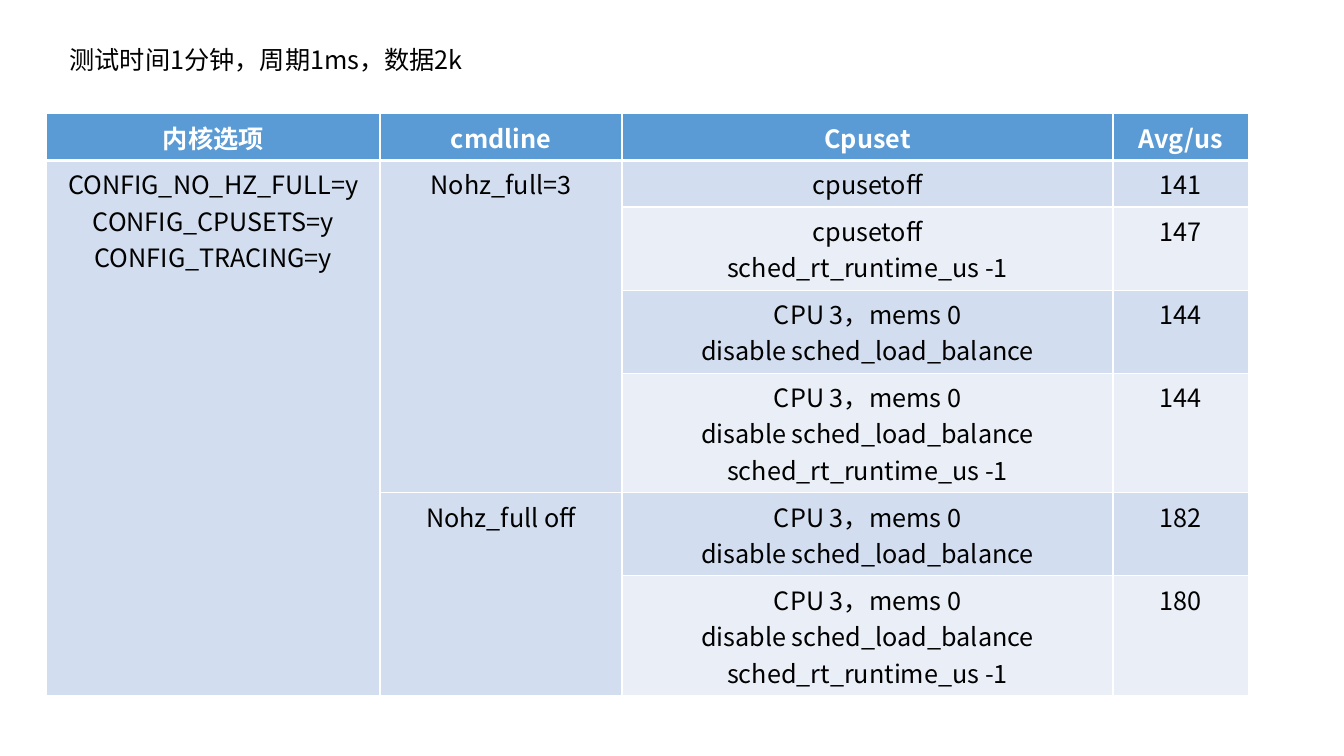
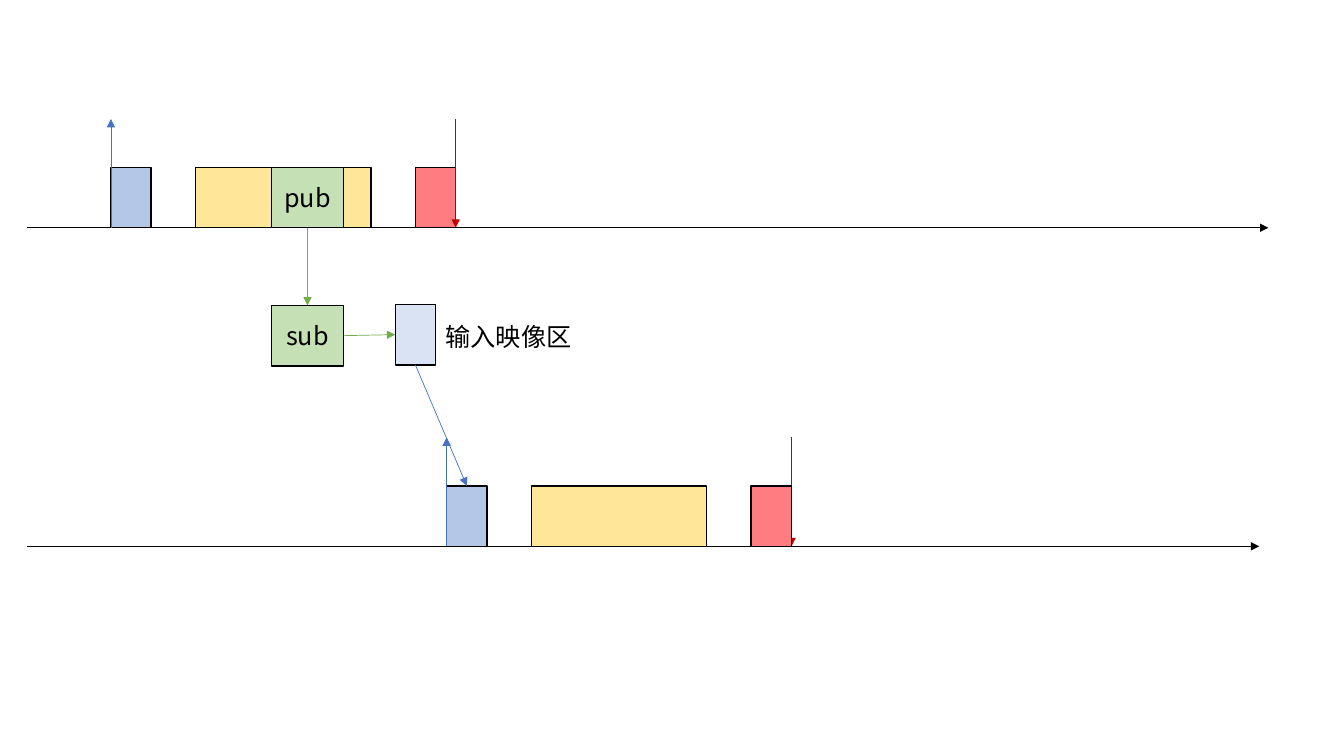
from lxml import etree
from pptx import Presentation
from pptx.dml.color import RGBColor
from pptx.enum.shapes import MSO_CONNECTOR, MSO_SHAPE
from pptx.enum.text import MSO_ANCHOR, MSO_AUTO_SIZE, PP_ALIGN
from pptx.oxml.ns import qn
from pptx.util import Inches, Pt

FONT = "Noto Sans CJK SC"
COLORS = {
    "black": "000000", "white": "FFFFFF",
    "header": "5B9BD5", "band_dark": "D2DEEF", "band_light": "EAEFF7",
    "input": "B4C7E7", "work": "FFE699", "output": "FF7C80",
    "message": "C5E0B4", "image": "DAE3F3",
    "release": "4472C4", "deadline": "C00000", "flow": "70AD47",
}

# Test results
CONDITIONS = "测试时间1分钟，周期1ms，数据2k"
HEADERS = ["内核选项", "cmdline", "Cpuset", "Avg/us"]
KERNEL_OPTIONS = ["CONFIG_NO_HZ_FULL=y", "CONFIG_CPUSETS=y", "CONFIG_TRACING=y"]
CPU_SET = ["CPU 3，mems 0", "disable sched_load_balance"]
RT_RUNTIME = "sched_rt_runtime_us -1"
RESULTS = [
    ("Nohz_full=3", [
        (["cpusetoff"], 141),
        (["cpusetoff", RT_RUNTIME], 147),
        (CPU_SET, 144),
        (CPU_SET + [RT_RUNTIME], 144),
    ]),
    ("Nohz_full off", [
        (CPU_SET, 182),
        (CPU_SET + [RT_RUNTIME], 180),
    ]),
]
COLUMN_WIDTHS = [3.31, 2.4, 4.87, 1.34]
LINE_HEIGHT, CELL_PADDING = 0.36, 0.1

# Timing diagram
AXIS_LEFT = 0.27
CYCLES = [
    {"start": 1.1, "axis": 2.26, "axis_end": 12.58, "deadline_in_front": True},
    {"start": 4.43, "axis": 5.42, "axis_end": 12.49, "deadline_in_front": False},
]
INPUT = (0, 0.4, "input")  # offset from cycle start, width, colour
WORK = (0.84, 1.74, "work")
OUTPUT = (3.02, 0.4, "output")
DEADLINE_OFFSET = 3.42
BOX_HEIGHT, MARK_HEIGHT = 0.6, 1.08
MESSAGE_LEFT, MESSAGE_WIDTH = 2.69, 0.72
SUB_TOP, IMAGE_TOP = 3.03, 3.02


def rgb(name):
    return RGBColor.from_string(COLORS[name])


def write(frame, lines, color="black", bold=False, align=PP_ALIGN.CENTER):
    frame.text = "\n".join(lines)
    for paragraph in frame.paragraphs:
        paragraph.alignment = align
        for run in paragraph.runs:
            run.font.size, run.font.bold, run.font.name = Pt(18), bold, FONT
            run.font.color.rgb = rgb(color)
            etree.SubElement(run.font._element, qn("a:ea"), typeface=FONT)


def add_label(slide, text, left, top, width, height, wrap):
    frame = slide.shapes.add_textbox(
        Inches(left), Inches(top), Inches(width), Inches(height)).text_frame
    frame.word_wrap = wrap
    frame.auto_size = MSO_AUTO_SIZE.SHAPE_TO_FIT_TEXT
    write(frame, [text], align=PP_ALIGN.LEFT)


def add_borders(cell, bottom):
    properties = cell._tc.get_or_add_tcPr()
    for side, points in (("L", 1), ("R", 1), ("T", 1), ("B", bottom)):
        line = etree.SubElement(properties, qn(f"a:ln{side}"), w=str(Pt(points)))
        fill = etree.SubElement(line, qn("a:solidFill"))
        etree.SubElement(fill, qn("a:srgbClr"), val=COLORS["white"])


def style_cell(cell, fill, bottom=1):
    add_borders(cell, bottom)
    cell.fill.solid()
    cell.fill.fore_color.rgb = rgb(fill)


def add_results_table(slide):
    measurements = [row for _, rows in RESULTS for row in rows]
    line_counts = [1] + [len(cpuset) for cpuset, _ in measurements]
    heights = [CELL_PADDING + LINE_HEIGHT * count for count in line_counts]
    table = slide.shapes.add_table(
        len(heights), len(HEADERS), Inches(0.46), Inches(1.13),
        Inches(sum(COLUMN_WIDTHS)), Inches(sum(heights))).table
    for column, width in zip(table.columns, COLUMN_WIDTHS):
        column.width = Inches(width)
    for row, height in zip(table.rows, heights):
        row.height = Inches(height)

    for column, header in enumerate(HEADERS):
        style_cell(table.cell(0, column), "header", bottom=3)
        write(table.cell(0, column).text_frame, [header], "white", bold=True)
    for row, (cpuset, average) in enumerate(measurements, start=1):
        band = "band_dark" if row % 2 else "band_light"
        for column in range(len(HEADERS)):
            style_cell(table.cell(row, column), "band_dark" if column < 2 else band)
        write(table.cell(row, 2).text_frame, cpuset)
        write(table.cell(row, 3).text_frame, [str(average)])

    table.cell(1, 0).merge(table.cell(len(measurements), 0))
    write(table.cell(1, 0).text_frame, KERNEL_OPTIONS)
    first = 1
    for cmdline, rows in RESULTS:
        last = first + len(rows) - 1
        table.cell(first, 1).merge(table.cell(last, 1))
        write(table.cell(first, 1).text_frame, [cmdline])
        first = last + 1


def add_box(slide, left, top, width, fill, text=None):
    box = slide.shapes.add_shape(
        MSO_SHAPE.RECTANGLE, Inches(left), Inches(top),
        Inches(width), Inches(BOX_HEIGHT))
    box.shadow.inherit = False
    box.fill.solid()
    box.fill.fore_color.rgb = rgb(fill)
    box.line.color.rgb = rgb("black")
    box.line.width = Pt(1)
    if text:
        box.text_frame.vertical_anchor = MSO_ANCHOR.MIDDLE
        write(box.text_frame, [text])
    return box


def add_arrow(slide, color, start=(0, 0), end=(0, 0), width=0.5):
    arrow = slide.shapes.add_connector(
        MSO_CONNECTOR.STRAIGHT, *map(Inches, start), *map(Inches, end))
    arrow.line.color.rgb = rgb(color)
    arrow.line.width = Pt(width)
    etree.SubElement(arrow.line._get_or_add_ln(), qn("a:tailEnd"), type="triangle")
    etree.SubElement(arrow._element.spPr, qn("a:effectLst"))
    return arrow


def join(slide, color, source, source_side, target, target_side):
    arrow = add_arrow(slide, color)
    arrow.begin_connect(source, source_side)
    arrow.end_connect(target, target_side)


def add_cycle(slide, start, axis, axis_end, deadline_in_front):
    """Draw one period on its time axis and return its input box."""
    def add_task(task):
        offset, width, color = task
        return add_box(slide, start + offset, axis - BOX_HEIGHT, width, color)

    def add_deadline():
        deadline = start + DEADLINE_OFFSET
        add_arrow(slide, "deadline", (deadline, axis - MARK_HEIGHT), (deadline, axis), 1)

    add_arrow(slide, "black", (AXIS_LEFT, axis), (axis_end, axis))
    input_box = add_task(INPUT)
    add_task(WORK)
    add_arrow(slide, "release", (start, axis), (start, axis - MARK_HEIGHT))
    if deadline_in_front:
        add_task(OUTPUT)
        add_deadline()
    else:
        add_deadline()
        add_task(OUTPUT)
    return input_box


def add_timing_diagram(slide):
    _, receiving_input = [add_cycle(slide, **cycle) for cycle in CYCLES]
    pub_top = CYCLES[0]["axis"] - BOX_HEIGHT
    pub = add_box(slide, MESSAGE_LEFT, pub_top, MESSAGE_WIDTH, "message", "pub")
    sub = add_box(slide, MESSAGE_LEFT, SUB_TOP, MESSAGE_WIDTH, "message", "sub")
    input_image = add_box(slide, 3.92, IMAGE_TOP, 0.4, "image")
    join(slide, "flow", pub, 2, sub, 0)
    join(slide, "flow", sub, 3, input_image, 1)
    join(slide, "release", input_image, 2, receiving_input, 0)
    add_label(slide, "输入映像区", 4.32, 3.14, 1.46, 0.4, wrap=False)


def main():
    deck = Presentation()
    deck.slide_width, deck.slide_height = Inches(13.33), Inches(7.5)
    blank = deck.slide_layouts[6]
    results = deck.slides.add_slide(blank)
    add_results_table(results)
    add_label(results, CONDITIONS, 0.59, 0.39, 6.67, 0.4, wrap=True)
    add_timing_diagram(deck.slides.add_slide(blank))
    deck.save("out.pptx")


if __name__ == "__main__":
    main()
